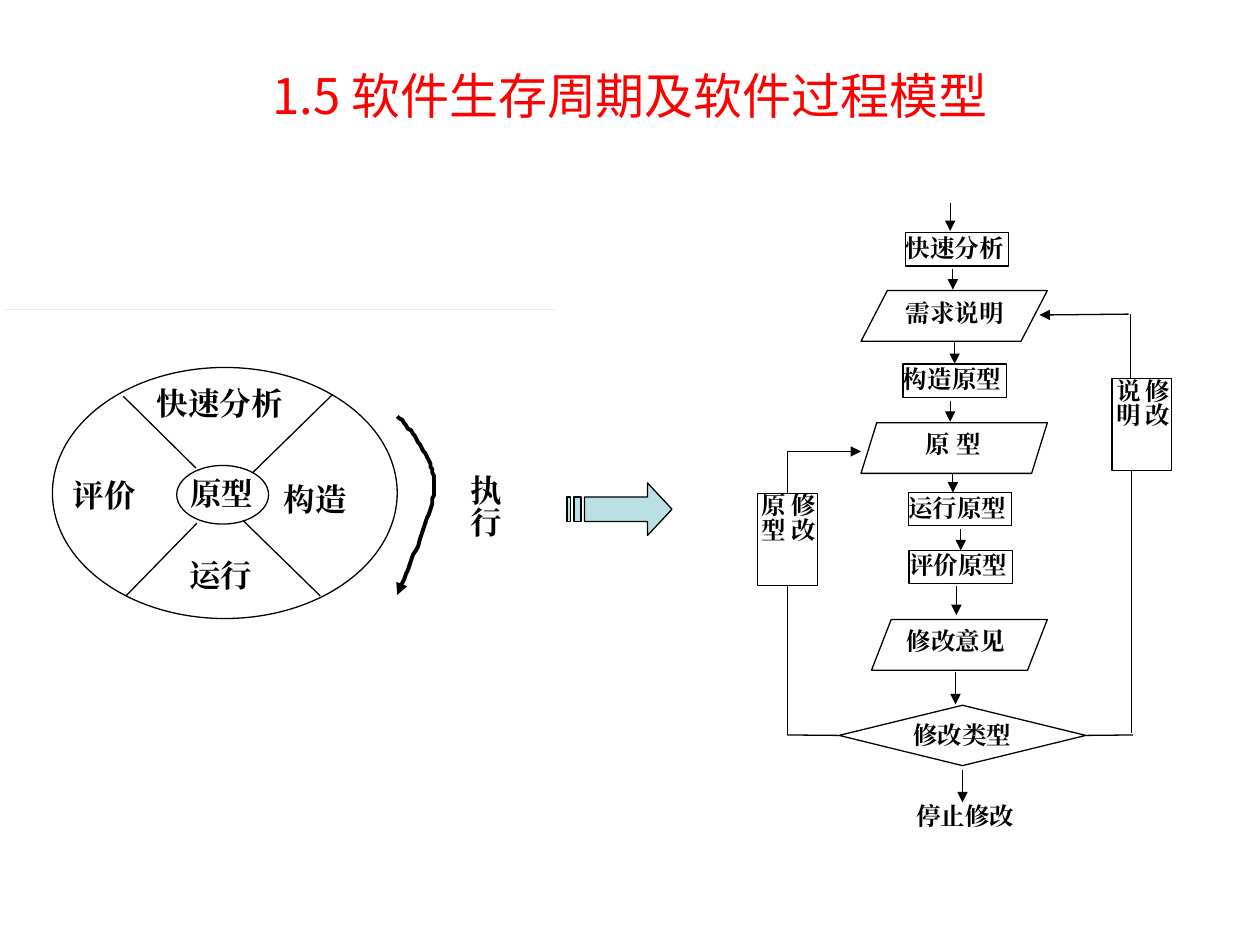
from dataclasses import dataclass

from lxml.etree import SubElement
from pptx import Presentation
from pptx.dml.color import RGBColor
from pptx.enum.shapes import MSO_CONNECTOR, MSO_SHAPE as Shape
from pptx.enum.text import MSO_ANCHOR as Anchor, MSO_AUTO_SIZE as AutoSize, PP_ALIGN as Align
from pptx.oxml.ns import qn
from pptx.util import Pt


@dataclass(frozen=True)
class Theme:
    title_font: str = "Noto Sans CJK SC"
    body_font: str = "Times New Roman"
    title_size: float = 28
    wheel_size: float = 18
    flow_size: float = 14
    thin: float = 0.75
    thick: float = 2.25
    black: str = "000000"
    white: str = "FFFFFF"
    red: str = "FF0000"
    arrow_fill: str = "BBE0E3"
    rule: str = "993399"


THEME = Theme()
TOP, LEFT, BOTTOM, RIGHT = range(4)


def write(frame, text, size=THEME.flow_size, font=THEME.body_font, color=THEME.black,
          bold=True, align=Align.JUSTIFY, anchor=Anchor.TOP, indent=0, inset=(0, 0)):
    """Fill a text frame, one paragraph for each line of text."""
    frame.word_wrap = True
    frame.vertical_anchor = anchor
    side, end = inset
    frame.margin_left, frame.margin_right = Pt(side + indent), Pt(side)
    frame.margin_top = frame.margin_bottom = Pt(end)
    for number, line in enumerate(text.split("\n")):
        para = frame.add_paragraph() if number else frame.paragraphs[0]
        para.alignment = align
        span = para.add_run()
        span.text = line
        span.font.size, span.font.bold, span.font.name = Pt(size), bold, font
        span.font.color.rgb = RGBColor.from_string(color)
        SubElement(span.font._element, qn("a:ea")).set("typeface", font)


class Builder:
    def __init__(self, page, theme):
        self.page = page
        self.theme = theme

    def paint(self, shape, fill, line, width=THEME.thin):
        shape.shadow.inherit = False
        if fill:
            shape.fill.solid()
            shape.fill.fore_color.rgb = RGBColor.from_string(fill)
        else:
            shape.fill.background()
        if line:
            shape.line.color.rgb = RGBColor.from_string(line)
            shape.line.width = Pt(width)
        else:
            shape.line.fill.background()
        return shape

    def arrowhead(self, shape):
        SubElement(shape.line._get_or_add_ln(), qn("a:tailEnd")).set("type", "triangle")

    def title(self, text, left, top, width, height):
        box = self.page.shapes.title
        box.left, box.top, box.width, box.height = map(Pt, (left, top, width, height))
        write(box.text_frame, text, size=self.theme.title_size, font=self.theme.title_font,
              color=self.theme.red, bold=False, align=Align.CENTER, anchor=Anchor.MIDDLE,
              inset=(7.2, 3.6))

    def box(self, kind, left, top, width, height, text="", fill=THEME.white,
            line=THEME.black, slant=None, vertical=False, grow=False, **style):
        shape = self.page.shapes.add_shape(kind, *map(Pt, (left, top, width, height)))
        self.paint(shape, fill, line)
        if slant is not None:
            shape.adjustments[0] = slant
        if text:
            write(shape.text_frame, text, **style)
        if vertical:
            shape.text_frame._txBody.bodyPr.set("vert", "eaVert")
        if grow:
            shape.text_frame.auto_size = AutoSize.SHAPE_TO_FIT_TEXT
        return shape

    def line(self, start, end, arrow=False, begin=None, finish=None):
        """Draw a line; begin and finish are (shape, side) joints."""
        line = self.page.shapes.add_connector(MSO_CONNECTOR.STRAIGHT, *map(Pt, start + end))
        line.line.color.rgb = RGBColor.from_string(self.theme.black)
        line.line.width = Pt(self.theme.thin)
        if begin:
            line.begin_connect(*begin)
        if finish:
            line.end_connect(*finish)
        if arrow:
            self.arrowhead(line)
        SubElement(line._element.spPr, qn("a:effectLst"))

    def outline(self, contours, fill=None, width=THEME.thin, closed=True, arrow=False):
        first, *others = contours
        pen = self.page.shapes.build_freeform(*first[0], scale=Pt(1))
        pen.add_line_segments(first[1:], close=closed)
        for contour in others:
            pen.move_to(*contour[0])
            pen.add_line_segments(contour[1:], close=closed)
        shape = self.paint(pen.convert_to_shape(), fill, self.theme.black, width)
        if arrow:
            self.arrowhead(shape)


def bezier(a, b, c, d, steps=24):
    """Points along a cubic curve."""
    for step in range(steps + 1):
        t = step / steps
        u = 1 - t
        yield tuple(u**3 * p + 3 * u * u * t * q + 3 * u * t * t * r + t**3 * s
                    for p, q, r, s in zip(a, b, c, d))


def bar(left, right, top=283.5, bottom=298.5):
    return [(left, top), (right, top), (right, bottom), (left, bottom)]


def draw_wheel(draw):
    size = draw.theme.wheel_size
    draw.box(Shape.OVAL, 30, 210, 197, 143.5)
    draw.box(Shape.OVAL, 101, 266, 52.5, 33.5, "原型", size=size)
    # Spokes
    for start, end in [((70.5, 226.5), (112, 267.5)), ((144.5, 270), (190, 225.5)),
                       ((72, 340.5), (112.5, 299)), ((139, 297.5), (183, 340.5))]:
        draw.line(start, end)
    # Sector names
    for text, left, top, width, indent in [
            ("快速分析", 89.5, 219.5, 80.5, 0), ("运行", 102, 318, 54, 6),
            ("评价", 35.5, 272, 62.5, 6), ("构造", 156, 274.5, 62.5, 6)]:
        draw.box(Shape.RECTANGLE, left, top, width, 21, text, line=None, size=size, indent=indent)
    # Direction of execution
    upper = list(bezier((227, 237.5), (237.5, 249), (248, 261.5), (248, 278.5)))
    lower = list(bezier((248, 278.5), (248, 295), (230.5, 329.5), (227, 340)))
    draw.outline([upper + lower[1:]], width=draw.theme.thick, closed=False, arrow=True)
    draw.box(Shape.RECTANGLE, 259, 271.5, 29, 58.5, "执行", line=None, size=size,
             align=Align.CENTER, vertical=True)


def draw_flow(draw):
    draw.box(Shape.RECTANGLE, 408, 108, 282, 372, line=None)
    # Steps
    steps = {}
    for text, left, top in [("快速分析", 517.5, 133), ("构造原型", 516, 208),
                            ("运行原型", 519, 281.5), ("评价原型", 519.5, 314.5)]:
        steps[text] = draw.box(Shape.RECTANGLE, left, top, 59, 19, text)
    # Documents
    for text, left, top, width, slant, indent in [
            ("需求说明", 492, 166, 106.5, 0.52, 10.5), ("原 型", 492, 241.5, 106.5, 0.31, 24.5),
            ("修改意见", 498, 354, 100.5, 0.39, 7)]:
        draw.box(Shape.PARALLELOGRAM, left, top, width, 29, text, slant=slant, indent=indent)
    # Decision and end
    choice = draw.box(Shape.DIAMOND, 479.5, 403, 141, 34.5, "修改类型", align=Align.CENTER)
    draw.box(Shape.RECTANGLE, 523.5, 458, 59, 17, "停止修改", line=None)
    # Feedback labels
    prototype, _ = [
        draw.box(Shape.RECTANGLE, left, top, 34, 52.5, text, align=Align.CENTER,
                 vertical=True, grow=True)
        for text, left, top in [("修改\n原型", 433, 282), ("修改\n说明", 635.5, 216.5)]]
    # Downward arrows
    for x, top, bottom, target in [
            (543, 116, 132, None), (544.5, 154, 165.5, None), (545.5, 195, 208, "构造原型"),
            (543, 229, 241, None), (544.5, 270.5, 281.5, None), (549, 302.5, 314.5, "评价原型"),
            (546.5, 335, 351.5, None), (546, 384, 402.5, None), (550, 440, 458.5, None)]:
        draw.line((x, top), (x, bottom), arrow=True,
                  finish=(steps[target], TOP) if target else None)
    # Loop back to the prototype
    draw.line((479.5, 420), (450, 420), begin=(choice, LEFT))
    draw.line((450, 420), (450, 334.5), finish=(prototype, BOTTOM))
    draw.line((450, 258), (450, 282), finish=(prototype, TOP))
    draw.line((450, 258), (492, 258), arrow=True)
    # Loop back to the requirements
    draw.line((620.5, 420), (647.5, 420), begin=(choice, RIGHT))
    draw.line((646.5, 269), (646.5, 419))
    draw.line((646, 179.5), (646, 216))
    draw.line((645, 179.5), (594, 180), arrow=True)


def main():
    deck = Presentation()
    deck.slide_width, deck.slide_height = Pt(720), Pt(540)
    page = deck.slides.add_slide(deck.slide_layouts[5])
    draw = Builder(page, THEME)
    draw.box(Shape.RECTANGLE, 2, 177, 316, 0, fill=THEME.rule, line=None)
    draw.title("1.5 软件生存周期及软件过程模型", 36, 18, 648, 72)
    # Striped arrow from the wheel to the flow
    head = [(333.5, 283.5), (369.5, 283.5), (369.5, 276), (384, 291),
            (369.5, 306), (369.5, 298.5), (333.5, 298.5)]
    draw.outline([head, bar(324, 326), bar(327.5, 331.5)], fill=THEME.arrow_fill)
    draw_wheel(draw)
    draw_flow(draw)
    deck.save("out.pptx")


if __name__ == "__main__":
    main()
